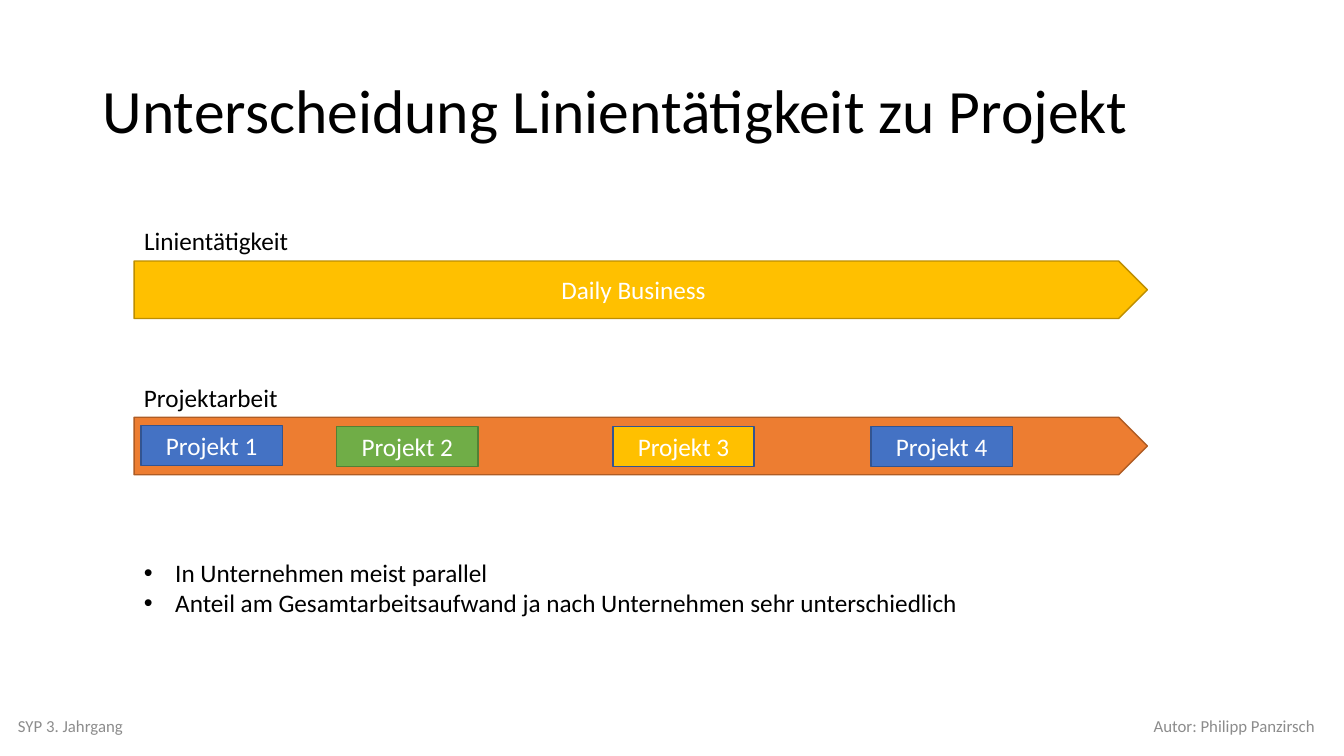
"""Build a slide contrasting line work with project work."""
import pptx
import pptx.util
import pptx.dml.color
import pptx.enum.shapes
import pptx.enum.text
import pptx.oxml.ns
import lxml.etree

Inches = pptx.util.Inches
Pt = pptx.util.Pt
RGBColor = pptx.dml.color.RGBColor
Align = pptx.enum.text.PP_ALIGN
Anchor = pptx.enum.text.MSO_ANCHOR
Preset = pptx.enum.shapes.MSO_SHAPE

FONT = "Calibri"
BLACK = RGBColor(0x00, 0x00, 0x00)
WHITE = RGBColor(0xFF, 0xFF, 0xFF)
GRAY = RGBColor(0x8C, 0x8C, 0x8C)
GOLD = RGBColor(0xFF, 0xC0, 0x00)
DARK_GOLD = RGBColor(0xBD, 0x8E, 0x00)
ORANGE = RGBColor(0xED, 0x7D, 0x31)
DARK_ORANGE = RGBColor(0xAF, 0x5C, 0x24)
BLUE = RGBColor(0x44, 0x72, 0xC4)
DARK_BLUE = RGBColor(0x32, 0x54, 0x91)
GREEN = RGBColor(0x70, 0xAD, 0x47)
DARK_GREEN = RGBColor(0x53, 0x80, 0x35)

TITLE = "Unterscheidung Linientätigkeit zu Projekt"
FOOTERS = [("SYP 3. Jahrgang", 0.08, Align.LEFT),
           ("Autor: Philipp Panzirsch", 8.64, Align.RIGHT)]
ARROWS = [("Linientätigkeit", 1.65, "Daily Business", 2.59, GOLD, DARK_GOLD),
          ("Projektarbeit", 1.54, "", 4.14, ORANGE, DARK_ORANGE)]
PROJECTS = [("Projekt 1", 1.4, 4.22, BLUE, DARK_BLUE),
            ("Projekt 2", 3.34, 4.23, GREEN, DARK_GREEN),
            ("Projekt 3", 6.08, 4.23, GOLD, DARK_BLUE),
            ("Projekt 4", 8.64, 4.23, BLUE, DARK_BLUE)]
NOTES = ["In Unternehmen meist parallel",
         "Anteil am Gesamtarbeitsaufwand ja nach Unternehmen sehr unterschiedlich"]
LEFT = 1.33
LABEL_RISE = 0.4


def add_bullet(para):
    properties = para._p.get_or_add_pPr()
    properties.set("marL", str(Inches(0.31)))
    properties.set("indent", str(-Inches(0.31)))
    for tag, name, value in (("a:buFont", "typeface", "Arial"), ("a:buChar", "char", "•")):
        lxml.etree.SubElement(properties, pptx.oxml.ns.qn(tag)).set(name, value)


def write(frame, lines, size, color, align=Align.LEFT, anchor=Anchor.TOP,
          wrap=True, bullets=False, spacing=None):
    frame.word_wrap = wrap
    frame.vertical_anchor = anchor
    for index, line in enumerate(lines):
        para = frame.add_paragraph() if index else frame.paragraphs[0]
        if bullets:
            add_bullet(para)
        para.alignment = align
        if spacing:
            para.line_spacing = spacing
        span = para.add_run()
        span.text = line
        span.font.name = FONT
        span.font.size = Pt(size)
        span.font.color.rgb = color


def add_text(page, area, lines, size, color, **options):
    box = page.shapes.add_textbox(*map(Inches, area))
    write(box.text_frame, lines, size, color, **options)


def add_block(page, preset, area, text, fill, line):
    block = page.shapes.add_shape(preset, *map(Inches, area))
    block.shadow.inherit = False
    block.fill.solid()
    block.fill.fore_color.rgb = fill
    block.line.color.rgb = line
    block.line.width = Pt(1)
    if text:
        write(block.text_frame, [text], 18, WHITE, align=Align.CENTER, anchor=Anchor.MIDDLE)


def main():
    deck = pptx.Presentation()
    deck.slide_width, deck.slide_height = Inches(13.33), Inches(7.5)
    page = deck.slides.add_slide(deck.slide_layouts[6])

    add_text(page, (0.92, 0.4, 11.5, 1.45), [TITLE], 44, BLACK,
             anchor=Anchor.MIDDLE, spacing=0.9)
    for text, left, align in FOOTERS:
        add_text(page, (left, 7, 4.5, 0.4), [text], 12, GRAY,
                 align=align, anchor=Anchor.MIDDLE)
    for label, label_width, text, top, fill, line in ARROWS:
        add_block(page, Preset.PENTAGON, (LEFT, top, 10.05, 0.57), text, fill, line)
        add_text(page, (LEFT, top - LABEL_RISE, label_width, 0.4), [label], 18, BLACK, wrap=False)
    for text, left, top, fill, line in PROJECTS:
        add_block(page, Preset.RECTANGLE, (left, top, 1.4, 0.4), text, fill, line)
    add_text(page, (LEFT, 5.48, 8.36, 1.01), NOTES, 18, BLACK, wrap=False, bullets=True)

    deck.save("out.pptx")


if __name__ == "__main__":
    main()
